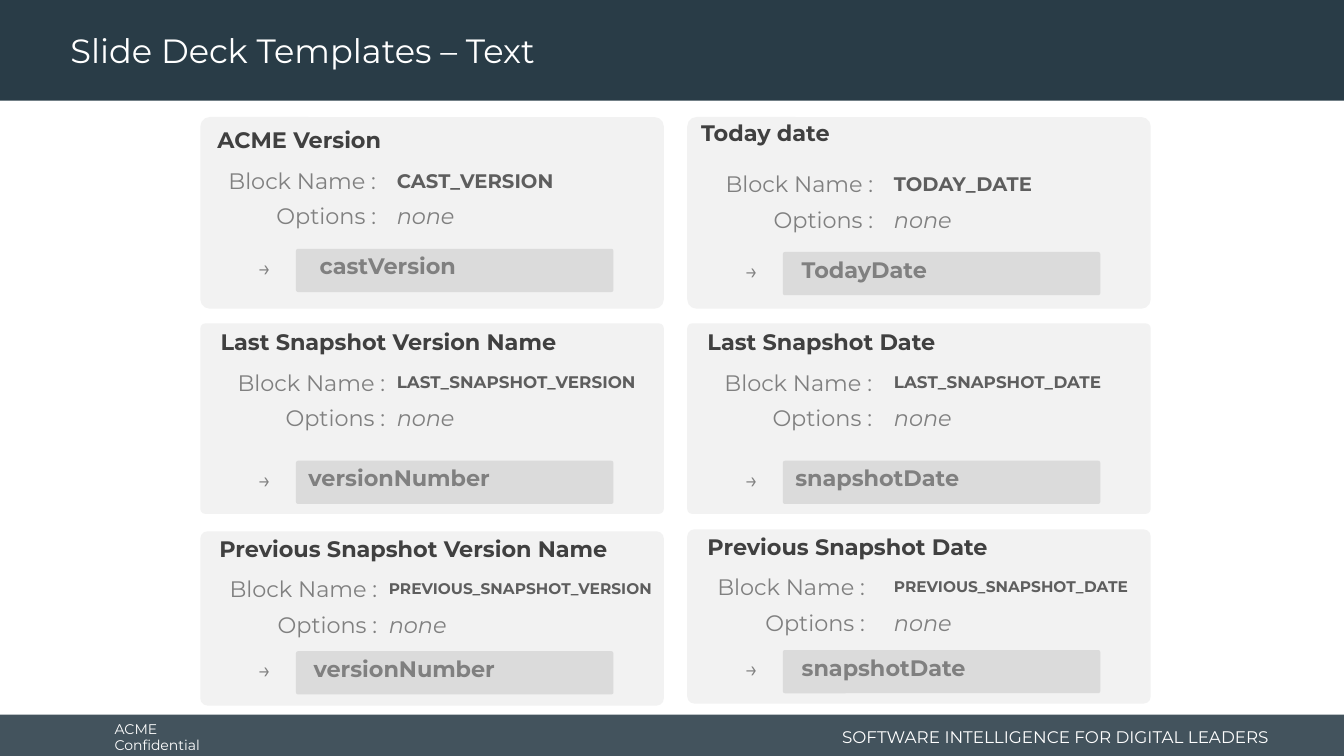
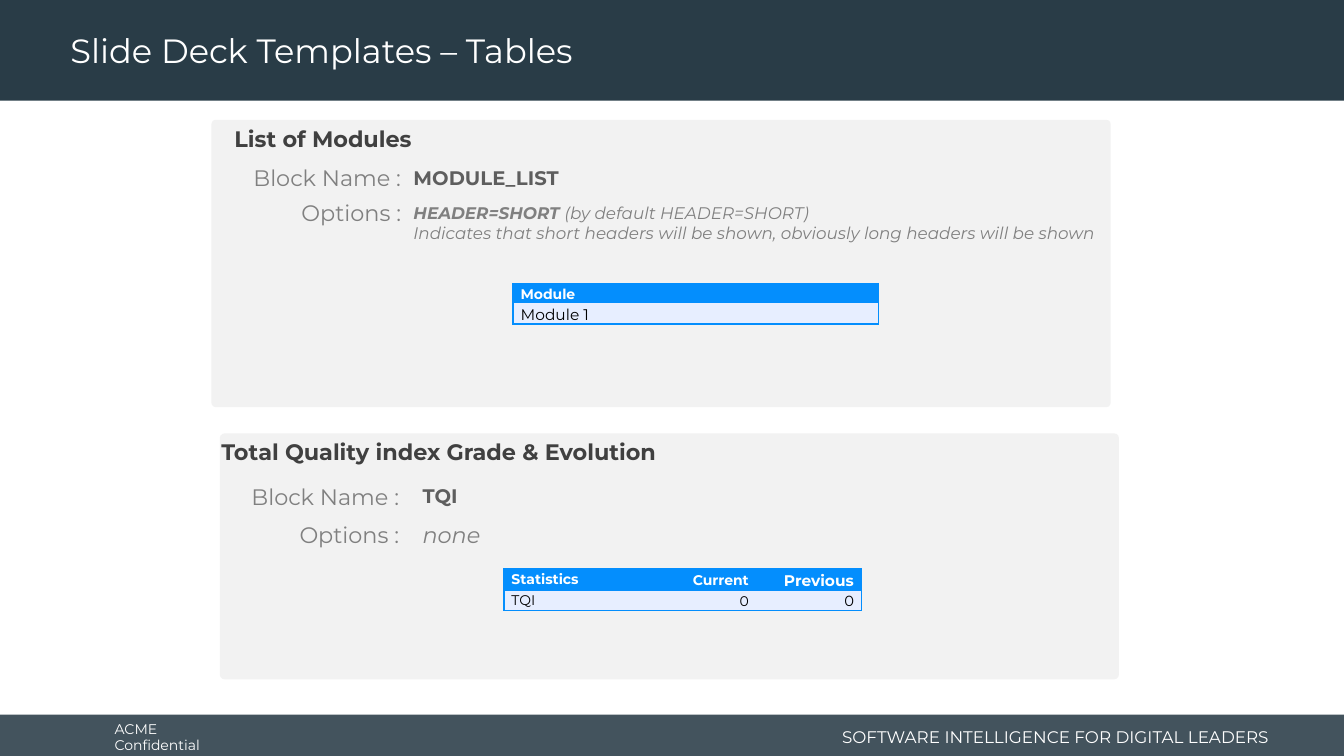
from dataclasses import dataclass

from lxml.etree import SubElement
from pptx import Presentation
from pptx.dml.color import RGBColor
from pptx.enum.shapes import MSO_SHAPE
from pptx.enum.text import MSO_ANCHOR, PP_ALIGN
from pptx.oxml.ns import qn
from pptx.util import Cm, Pt

FONT = "Montserrat"
COLORS = {
    "band": "293C47",
    "white": "FFFFFF",
    "card": "F2F2F2",
    "bar": "BFBFBF",
    "heading": "404040",
    "label": "808080",
    "name": "5E5E5E",
    "table": "048EFD",
    "row": "E7EEFF",
    "black": "000000",
}
SLIDE_WIDTH, SLIDE_HEIGHT = 33.87, 19.05
HEADER_HEIGHT = 2.54
FOOTER_TOP = 18.01
LABEL_SIZE = 16
LABEL_WIDTH = 4.4
LINE_HEIGHT = 0.94
MARGIN = 0.25

LEFT_COLUMN, RIGHT_COLUMN = 5.05, 17.32
SMALL_CARD_WIDTH = 11.68
LARGE_CARD_WIDTH = 22.66


@dataclass
class Card:
    """Lengths are centimetres from the slide's top left corner."""
    heading: str
    block_name: str
    name_size: float
    box: tuple  # left, top, width, height
    corner: float
    heading_at: tuple
    label_right: float
    label_top: float
    value_left: float
    option_gap: float = 0.89
    options: tuple = ((("none", False),),)
    option_size: float = LABEL_SIZE
    result: str = ""
    bar_top: float = 0
    result_indent: float = 0


def small_card(column, top, height, corner, **details):
    return Card(box=(column, top, SMALL_CARD_WIDTH, height), corner=corner, **details)


TEXT_CARDS = [
    small_card(LEFT_COLUMN, 2.95, 4.83, 0.049, heading="ACME Version",
               block_name="CAST_VERSION", name_size=14, heading_at=(5.23, 3.05),
               label_right=9.73, label_top=4.09, value_left=9.75,
               result="castVersion", bar_top=6.27, result_indent=0.58),
    small_card(RIGHT_COLUMN, 2.95, 4.83, 0.049, heading="Today date",
               block_name="TODAY_DATE", name_size=14, heading_at=(17.42, 2.87),
               label_right=22.26, label_top=4.17, value_left=22.28,
               result="TodayDate", bar_top=6.35, result_indent=0.46),
    small_card(LEFT_COLUMN, 8.15, 4.8, 0.026, heading="Last Snapshot Version Name",
               block_name="LAST_SNAPSHOT_VERSION", name_size=12, heading_at=(5.31, 8.15),
               label_right=9.96, label_top=9.17, value_left=9.75,
               result="versionNumber", bar_top=11.61, result_indent=0.3),
    small_card(RIGHT_COLUMN, 8.15, 4.8, 0.026, heading="Last Snapshot Date",
               block_name="LAST_SNAPSHOT_DATE", name_size=12, heading_at=(17.58, 8.15),
               label_right=22.23, label_top=9.17, value_left=22.28,
               result="snapshotDate", bar_top=11.61, result_indent=0.3),
    small_card(LEFT_COLUMN, 13.39, 4.39, 0.041, heading="Previous Snapshot Version Name",
               block_name="PREVIOUS_SNAPSHOT_VERSION", name_size=11, heading_at=(5.28, 13.36),
               label_right=9.76, label_top=14.38, value_left=9.55,
               result="versionNumber", bar_top=16.41, result_indent=0.43),
    small_card(RIGHT_COLUMN, 13.34, 4.39, 0.041, heading="Previous Snapshot Date",
               block_name="PREVIOUS_SNAPSHOT_DATE", name_size=11, heading_at=(17.58, 13.31),
               label_right=22.05, label_top=14.33, value_left=22.28,
               result="snapshotDate", bar_top=16.38, result_indent=0.46),
]

TABLE_CARDS = [
    Card("List of Modules", "MODULE_LIST", 14, (5.33, 3.02, LARGE_CARD_WIDTH, 7.24), 0.015,
         heading_at=(5.66, 3.02), label_right=10.36, label_top=4.01, value_left=10.17,
         options=(
             (("HEADER=SHORT ", True), ("(by default HEADER=SHORT)", False)),
             (("Indicates that short headers will be shown, "
               "obviously long headers will be shown", False),),
         ), option_size=12),
    Card("Total Quality index Grade & Evolution", "TQI", 14,
         (5.54, 10.92, LARGE_CARD_WIDTH, 6.2), 0.02,
         heading_at=(5.33, 10.92), label_right=10.31, label_top=12.04, value_left=10.4,
         option_gap=0.97),
]

# Table cells are (text, font size)
MODULE_ROWS = [[("Module", 10)], [("Module 1", 11)]]
QUALITY_ROWS = [
    [("Statistics", 10), ("Current", 10), ("Previous", 11)],
    [("TQI", 10), ("0", 10), ("0", 10.5)],
]


def rgb(name):
    return RGBColor.from_string(COLORS[name])


def add_run(paragraph, text, size, color, bold=False, italic=False):
    run = paragraph.add_run()
    run.text = text
    font = run.font
    font.name = FONT
    font.size = Pt(size)
    font.bold = bold
    font.italic = italic
    font.color.rgb = rgb(color)


def add_filled_shape(slide, preset, left, top, width, height, color, opacity=100):
    shape = slide.shapes.add_shape(preset, Cm(left), Cm(top), Cm(width), Cm(height))
    shape.shadow.inherit = False
    shape.fill.solid()
    shape.fill.fore_color.rgb = rgb(color)
    if opacity < 100:
        fill_color = shape.element.spPr.find(".//" + qn("a:srgbClr"))
        SubElement(fill_color, qn("a:alpha"), val=str(opacity * 1000))
    shape.line.fill.background()
    return shape


def add_text(slide, left, top, width, height, text, size, color,
             align=PP_ALIGN.LEFT, anchor=MSO_ANCHOR.TOP, **style):
    return add_paragraphs(slide, left, top, width, height, (((text, style.pop("bold", False)),),),
                          size, color, align, anchor, **style)


def add_paragraphs(slide, left, top, width, height, paragraphs, size, color,
                   align=PP_ALIGN.LEFT, anchor=MSO_ANCHOR.TOP, italic=False):
    """Each paragraph is a sequence of (text, bold) runs."""
    box = slide.shapes.add_textbox(Cm(left), Cm(top), Cm(width), Cm(height))
    frame = box.text_frame
    frame.word_wrap = False
    frame.vertical_anchor = anchor
    for index, runs in enumerate(paragraphs):
        paragraph = frame.add_paragraph() if index else frame.paragraphs[0]
        paragraph.alignment = align
        for text, bold in runs:
            add_run(paragraph, text, size, color, bold, italic)
    return box


def size_drop(size):
    """Push smaller text down so that it lines up with its label."""
    return (LABEL_SIZE - size) * 0.02


def add_result(slide, card):
    left = card.box[0]
    add_text(slide, left + 0.97, card.bar_top, 1.07, LINE_HEIGHT, "→",
             LABEL_SIZE, "label", PP_ALIGN.RIGHT)
    bar = add_filled_shape(slide, MSO_SHAPE.ROUNDED_RECTANGLE,
                           left + 2.41, card.bar_top, 8, 1.09, "bar", 45)
    bar.adjustments[0] = 0.049
    frame = bar.text_frame
    frame.word_wrap = True
    frame.vertical_anchor = MSO_ANCHOR.TOP
    frame.margin_left = Cm(card.result_indent)
    frame.margin_top = Cm(0.08)
    paragraph = frame.paragraphs[0]
    paragraph.alignment = PP_ALIGN.LEFT
    add_run(paragraph, card.result, LABEL_SIZE, "label", bold=True)


def add_card(slide, card):
    left, top, width, height = card.box
    panel = add_filled_shape(slide, MSO_SHAPE.ROUNDED_RECTANGLE,
                             left, top, width, height, "card")
    panel.adjustments[0] = card.corner
    add_text(slide, *card.heading_at, width - 1, LINE_HEIGHT, card.heading,
             LABEL_SIZE, "heading", bold=True)

    option_top = card.label_top + card.option_gap
    for label, label_top in (("Block Name :", card.label_top), ("Options :", option_top)):
        add_text(slide, card.label_right - LABEL_WIDTH, label_top, LABEL_WIDTH, LINE_HEIGHT,
                 label, LABEL_SIZE, "label", PP_ALIGN.RIGHT)

    value_width = left + width - card.value_left
    add_text(slide, card.value_left, card.label_top + size_drop(card.name_size),
             value_width, LINE_HEIGHT, card.block_name, card.name_size, "name", bold=True)
    add_paragraphs(slide, card.value_left, option_top + size_drop(card.option_size),
                   value_width, LINE_HEIGHT, card.options, card.option_size, "label", italic=True)
    if card.result:
        add_result(slide, card)


def set_borders(cell, drawn_sides):
    """Draw the given sides (of L, R, T, B) and clear the others."""
    properties = cell._tc.get_or_add_tcPr()
    for side in "LRTB":
        line = SubElement(properties, qn(f"a:ln{side}"), w=str(Pt(1)))
        if side in drawn_sides:
            fill = SubElement(line, qn("a:solidFill"))
            SubElement(fill, qn("a:srgbClr"), val=COLORS["table"])
        else:
            SubElement(line, qn("a:noFill"))


def add_table(slide, left, top, column_widths, rows):
    row_height = 0.46
    table = slide.shapes.add_table(
        len(rows), len(column_widths), Cm(left), Cm(top),
        Cm(sum(column_widths)), Cm(row_height * len(rows))).table
    for column, width in zip(table.columns, column_widths):
        column.width = Cm(width)
    last_column = len(column_widths) - 1
    for row_index, row in enumerate(rows):
        table.rows[row_index].height = Cm(row_height)
        is_header = row_index == 0
        for column_index, (text, size) in enumerate(row):
            is_first = column_index == 0
            cell = table.cell(row_index, column_index)
            set_borders(cell, "TB" + "L" * is_first + "R" * (column_index == last_column))
            cell.fill.solid()
            cell.fill.fore_color.rgb = rgb("table" if is_header else "row")
            cell.margin_left = cell.margin_right = Cm(0.19)
            cell.margin_top = cell.margin_bottom = 0
            cell.vertical_anchor = MSO_ANCHOR.TOP if is_first else MSO_ANCHOR.MIDDLE
            paragraph = cell.text_frame.paragraphs[0]
            paragraph.alignment = PP_ALIGN.LEFT if is_first else PP_ALIGN.RIGHT
            paragraph.line_spacing = 1.15
            add_run(paragraph, text, size, "white" if is_header else "black", bold=is_header)


def style_layout(layout, slide):
    """Draw the bands and footers on a slide, then move them to its layout."""
    footer_height = SLIDE_HEIGHT - FOOTER_TOP
    parts = [
        add_filled_shape(slide, MSO_SHAPE.RECTANGLE, 0, FOOTER_TOP,
                         SLIDE_WIDTH, footer_height, "band", 88),
        add_filled_shape(slide, MSO_SHAPE.RECTANGLE, 0, 0, SLIDE_WIDTH, HEADER_HEIGHT, "band"),
        add_text(slide, 2.64, 18.06, 3.76, 1.02, "ACME Confidential", 10, "white",
                 anchor=MSO_ANCHOR.MIDDLE),
        add_text(slide, 20.6, 18.06, 11.63, 1.02, "SOFTWARE INTELLIGENCE FOR DIGITAL LEADERS",
                 12, "white", PP_ALIGN.RIGHT, MSO_ANCHOR.MIDDLE),
    ]
    for part in parts:
        layout.shapes.element.append(part.element)


def set_title(slide, text):
    title = slide.shapes.title
    title.left, title.top, title.width, title.height = Cm(1.52), Cm(0.1), Cm(24.33), Cm(2.44)
    title.text_frame.vertical_anchor = MSO_ANCHOR.MIDDLE
    paragraph = title.text_frame.paragraphs[0]
    paragraph.alignment = PP_ALIGN.LEFT
    paragraph.line_spacing = 0.9
    add_run(paragraph, text, 24, "white")


def main():
    presentation = Presentation()
    presentation.slide_width = Cm(SLIDE_WIDTH)
    presentation.slide_height = Cm(SLIDE_HEIGHT)
    layout = presentation.slide_layouts[5]

    text_slide = presentation.slides.add_slide(layout)
    style_layout(layout, text_slide)
    set_title(text_slide, "Slide Deck Templates – Text")
    for card in TEXT_CARDS:
        add_card(text_slide, card)

    table_slide = presentation.slides.add_slide(layout)
    set_title(table_slide, "Slide Deck Templates – Tables")
    for card in TABLE_CARDS:
        add_card(table_slide, card)
    add_table(table_slide, 12.93, 7.14, [9.2], MODULE_ROWS)
    add_table(table_slide, 12.7, 14.33, [3.71, 2.65, 2.65], QUALITY_ROWS)

    presentation.save("out.pptx")


if __name__ == "__main__":
    main()
